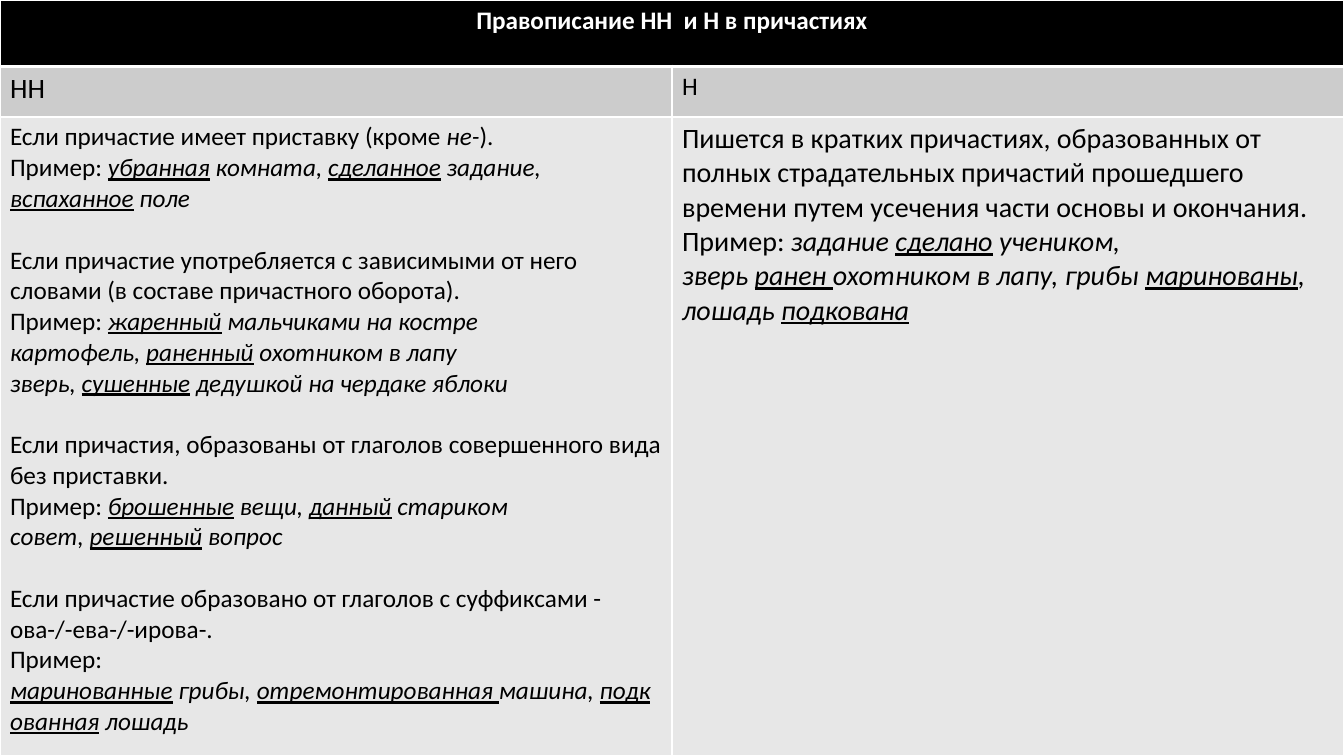
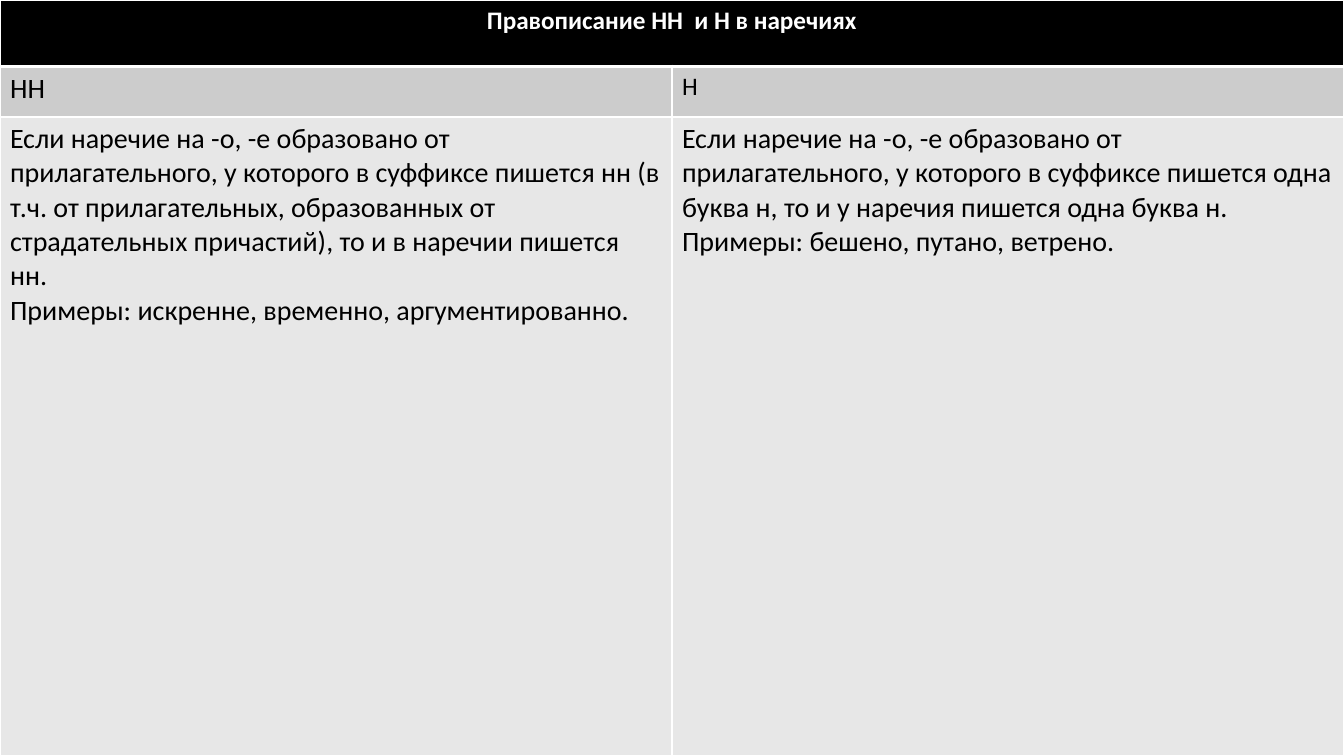
from dataclasses import dataclass

from lxml.etree import SubElement
from pptx import Presentation
from pptx.dml.color import RGBColor
from pptx.enum.text import PP_ALIGN
from pptx.oxml.ns import qn
from pptx.util import Inches, Pt

FONT = "Calibri"
BLACK, WHITE = "000000", "FFFFFF"
HEADING_FILL, BODY_FILL = "CCCCCC", "E7E7E7"
SLIDE_WIDTH, SLIDE_HEIGHT = 13.33, 7.5
ROW_HEIGHTS = (0.66, 0.5, 6.34)
THIN, THICK = 1, 3
SMALL, LARGE = 18, 20
RULE_GAP = 22
NO_BREAK_SPACE = chr(160)


@dataclass(frozen=True)
class Line:
    """One paragraph; "_" encloses underlined words, "*" italics, "~" is a no-break space."""
    text: str
    size: int = LARGE
    gap_before: int = 0


@dataclass(frozen=True)
class RuleTable:
    title: str
    double_n: list[Line]
    single_n: list[Line]


def rules_with_examples(pairs: list[tuple[str, str]], size: int) -> list[Line]:
    lines = []
    for rule, example in pairs:
        lines.append(Line(rule, size, RULE_GAP if lines else 0))
        lines.append(Line(f"Пример: *{example}*", size))
    return lines


TABLES = [
    RuleTable(
        "Правописание НН  и Н в причастиях",
        rules_with_examples([
            ("Если причастие имеет приставку (кроме~*не-*).",
             "_убранная_~комната,~_сделанное_~задание, _вспаханное_~поле"),
            ("Если причастие употребляется с зависимыми от него словами "
             "(в составе причастного оборота).",
             "_жаренный_~мальчиками на костре картофель,~_раненный_~охотником "
             "в лапу зверь,~_сушенные_~дедушкой на чердаке яблоки"),
            ("Если причастия, образованы от глаголов совершенного вида без приставки.",
             "_брошенные_~вещи,~_данный_~стариком совет,~_решенный_~вопрос"),
            ("Если причастие образовано от глаголов с суффиксами~-ова-/-ева-/-ирова-.",
             "_маринованные_~грибы,~_отремонтированная~_машина,~_подкованная_~лошадь"),
        ], SMALL),
        rules_with_examples([
            ("Пишется в кратких причастиях, образованных от полных страдательных "
             "причастий прошедшего времени путем усечения части основы и окончания.",
             "задание~_сделано_~учеником, зверь~_ранен~_охотником в лапу, "
             "грибы~_маринованы_, лошадь~_подкована_"),
        ], LARGE),
    ),
    RuleTable(
        "Правописание НН  и Н в наречиях",
        [Line("Если наречие на -о, -е образовано от прилагательного, у которого "
              "в суффиксе пишется нн (в т.ч. от прилагательных, образованных от "
              "страдательных причастий), то и в наречии пишется нн."),
         Line("Примеры: искренне, временно, аргументированно.")],
        [Line("Если наречие на -о, -е образовано от прилагательного, у которого "
              "в суффиксе пишется одна буква н, то и у наречия пишется одна буква н."),
         Line("Примеры: бешено, путано, ветрено.")],
    ),
]


def color(value: str) -> RGBColor:
    return RGBColor.from_string(value)


def add_borders(cell, top: int, bottom: int) -> None:
    properties = cell._tc.get_or_add_tcPr()
    for side, width in (("L", THIN), ("R", THIN), ("T", top), ("B", bottom)):
        border = SubElement(properties, qn(f"a:ln{side}"), w=str(Pt(width)))
        fill = SubElement(border, qn("a:solidFill"))
        SubElement(fill, qn("a:srgbClr"), val=WHITE)


def add_runs(paragraph, line: Line, text_color: str, bold: bool) -> None:
    for italic_index, part in enumerate(line.text.split("*")):
        for underline_index, text in enumerate(part.split("_")):
            if not text:
                continue
            run = paragraph.add_run()
            run.text = text.replace("~", NO_BREAK_SPACE)
            font = run.font
            font.name, font.size, font.bold = FONT, Pt(line.size), bold
            font.italic = italic_index % 2 == 1
            font.underline = underline_index % 2 == 1
            font.color.rgb = color(text_color)


def write_cell(cell, lines: list[Line], text_color: str = BLACK,
               bold: bool = False, alignment: PP_ALIGN = PP_ALIGN.LEFT) -> None:
    frame = cell.text_frame
    for index, line in enumerate(lines):
        paragraph = frame.add_paragraph() if index else frame.paragraphs[0]
        paragraph.alignment = alignment
        paragraph.space_before = Pt(line.gap_before)
        add_runs(paragraph, line, text_color, bold)


def add_rule_table(slide, content: RuleTable) -> None:
    table = slide.shapes.add_table(
        len(ROW_HEIGHTS), 2, Inches(0), Inches(0),
        Inches(SLIDE_WIDTH), Inches(SLIDE_HEIGHT)).table
    table.first_row = table.horz_banding = False
    for column in table.columns:
        column.width = Inches(SLIDE_WIDTH / 2)

    for row_index, fill in enumerate((BLACK, HEADING_FILL, BODY_FILL)):
        row = table.rows[row_index]
        row.height = Inches(ROW_HEIGHTS[row_index])
        for cell in row.cells:
            add_borders(cell, top=THICK if row_index == 1 else THIN,
                        bottom=THICK if row_index == 0 else THIN)
            cell.fill.solid()
            cell.fill.fore_color.rgb = color(fill)

    table.cell(0, 0).merge(table.cell(0, 1))
    write_cell(table.cell(0, 0), [Line(content.title, SMALL)], WHITE, True, PP_ALIGN.CENTER)
    write_cell(table.cell(1, 0), [Line("НН", LARGE)])
    write_cell(table.cell(1, 1), [Line("Н", SMALL)])
    write_cell(table.cell(2, 0), content.double_n)
    write_cell(table.cell(2, 1), content.single_n)


def main() -> None:
    presentation = Presentation()
    presentation.slide_width = Inches(SLIDE_WIDTH)
    presentation.slide_height = Inches(SLIDE_HEIGHT)
    blank_layout = presentation.slide_layouts[6]
    for content in TABLES:
        add_rule_table(presentation.slides.add_slide(blank_layout), content)
    presentation.save("out.pptx")


if __name__ == "__main__":
    main()
